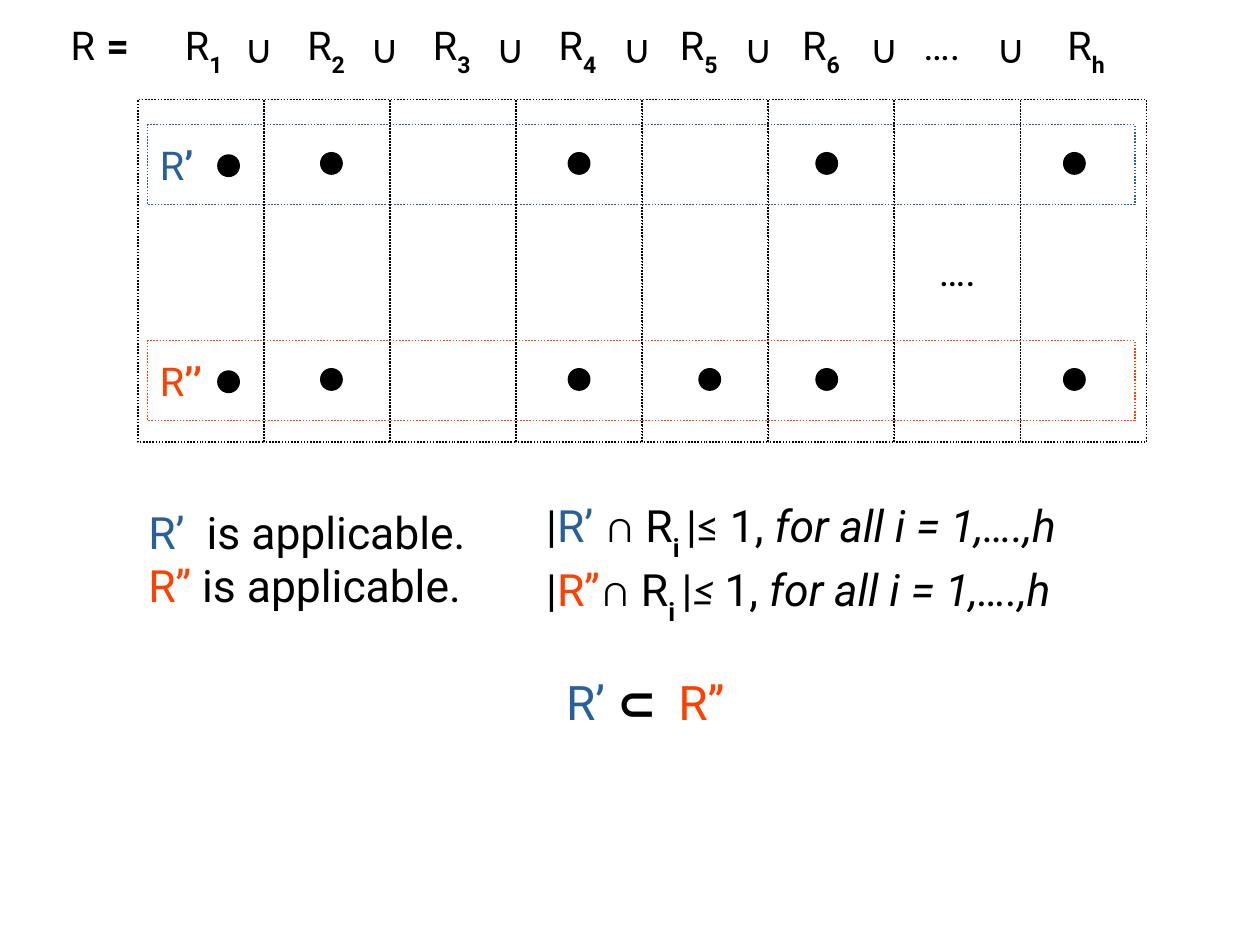
from pptx import Presentation, util as u
from pptx.dml.color import RGBColor
from pptx.enum import dml, shapes, text

PX = 9144
COLORS = {"black": "000000", "blue": "2A6099", "orange": "FF4000"}
BODY, MATH = "Roboto", "Calibri"


def px(value):
    return u.Emu(round(value * PX))


def color(name):
    return RGBColor.from_string(COLORS[name])


def run_style(content, tint="black", font=BODY, bold=False, italic=False, sub=False, spacing=0):
    return content, tint, font, bold, italic, sub, spacing


def fill_paragraph(paragraph, runs, size, align):
    paragraph.alignment = align
    for content, tint, font, bold, italic, sub, spacing in runs:
        run = paragraph.add_run()
        run.text = content
        run.font.size = u.Pt(size)
        run.font.name = font
        run.font.bold = bold
        run.font.italic = italic
        run.font.color.rgb = color(tint)
        properties = run._r.get_or_add_rPr()
        if sub:
            properties.set("baseline", "-33000")
        if spacing:
            properties.set("spc", str(spacing * 100))


def add_text(slide, box, lines, size=25, align=text.PP_ALIGN.LEFT):
    shape = slide.shapes.add_textbox(*map(px, box))
    frame = shape.text_frame
    frame.word_wrap = True
    frame.auto_size = text.MSO_AUTO_SIZE.SHAPE_TO_FIT_TEXT
    for index, runs in enumerate(lines):
        paragraph = frame.add_paragraph() if index else frame.paragraphs[0]
        fill_paragraph(paragraph, runs, size, align)


def add_frame(slide, box, tint, runs=(), align=text.PP_ALIGN.LEFT):
    shape = slide.shapes.add_shape(shapes.MSO_SHAPE.RECTANGLE, *map(px, box))
    shape.shadow.inherit = False
    shape.fill.background()
    shape.line.color.rgb = color(tint)
    shape.line.width = u.Pt(1)
    shape.line.dash_style = dml.MSO_LINE.ROUND_DOT
    frame = shape.text_frame
    frame.word_wrap = True
    frame.vertical_anchor = text.MSO_ANCHOR.MIDDLE
    frame.margin_left = frame.margin_right = px(11)
    frame.margin_top = frame.margin_bottom = px(6)
    if runs:
        fill_paragraph(frame.paragraphs[0], runs, 25, align)


def add_dot(slide, left, top):
    dot = slide.shapes.add_shape(shapes.MSO_SHAPE.OVAL, px(left), px(top), px(20), px(20))
    dot.shadow.inherit = False
    dot.fill.solid()
    dot.fill.fore_color.rgb = color("black")
    dot.line.fill.background()


def add_union_header(slide, box):
    left, top, width, height = box
    add_text(slide, (left, top, 80, height),
             [[run_style("R"), run_style(" ", spacing=1), run_style("=", bold=True)]])
    label_offsets = (100, 207, 317, 427, 533, 640, 872)
    for offset, index in zip(label_offsets, "123456h"):
        add_text(slide, (left + offset, top, 60 if index == "h" else 56, height),
                 [[run_style("R"), run_style(index, bold=True, sub=True)]])
    add_text(slide, (left + 746, top, 66, 51), [[run_style("….")]])
    for offset in (152, 262, 372, 483, 589, 699, 810):
        add_text(slide, (left + offset, top + 3, 56, 45), [[run_style("∪", font=MATH)]])


def add_subset_row(slide, box, tint, mark, extra_dots=()):
    left, top, width, height = box
    add_frame(slide, box, tint, [run_style("R", tint), run_style(mark, tint, bold=True)])
    add_dot(slide, left + 61, top + 26)
    even_dots = [151 + 650 * step / 3 for step in range(4)]
    for offset in (*even_dots, *extra_dots):
        add_dot(slide, left + offset, top + 24)


def add_partition(slide, box, columns=8):
    left, top, width, height = box
    column_width = width / columns
    for column in range(columns):
        runs = [run_style("….")] if column == 6 else ()
        add_frame(slide, (left + column * column_width, top, column_width, height),
                  "black", runs, text.PP_ALIGN.CENTER)
    add_subset_row(slide, (left + 8, top + 22, width - 18, 70), "blue", "’")
    add_subset_row(slide, (left + 8, top + 211, width - 18, 70), "orange", "’’", (482,))


def intersection_line(name, tint, relation):
    return [run_style("|"), run_style(name, tint), run_style("∩ ", font=MATH), run_style("R"),
            run_style("i ", bold=True, sub=True), run_style("|"), *relation,
            run_style("for all i = 1,….,h", italic=True)]


def add_conclusions(slide, box):
    left, top, width, height = box
    add_text(slide, (left, top + 6, 316, 101), [
        [run_style("R’", "blue"), run_style(" ", spacing=7), run_style("is applicable.")],
        [run_style("R’’", "orange"), run_style(" is applicable.")],
    ], 28)
    add_text(slide, (left + 348, top, 545, 118), [
        intersection_line("R’ ", "blue", [run_style("≤", font=MATH), run_style(" 1, ")]),
        intersection_line("R’’", "orange",
                          [run_style("≤ ", font=MATH, italic=True), run_style("1, ")]),
    ], 28)
    add_text(slide, (left + 349, top + 153, 191, 62), [
        [run_style("R’ ", "blue"), run_style("⊂", font=MATH, bold=True),
         run_style(" ", font=MATH, bold=True, spacing=7), run_style("R’’", "orange")],
    ], 30, text.PP_ALIGN.CENTER)


def main():
    presentation = Presentation()
    presentation.slide_width, presentation.slide_height = u.Cm(28), u.Cm(21)
    slide = presentation.slides.add_slide(presentation.slide_layouts[6])
    add_union_header(slide, (52, 13, 932, 58))
    add_partition(slide, (121, 87, 882, 300))
    add_conclusions(slide, (120, 431, 893, 215))
    presentation.save("out.pptx")


if __name__ == "__main__":
    main()
